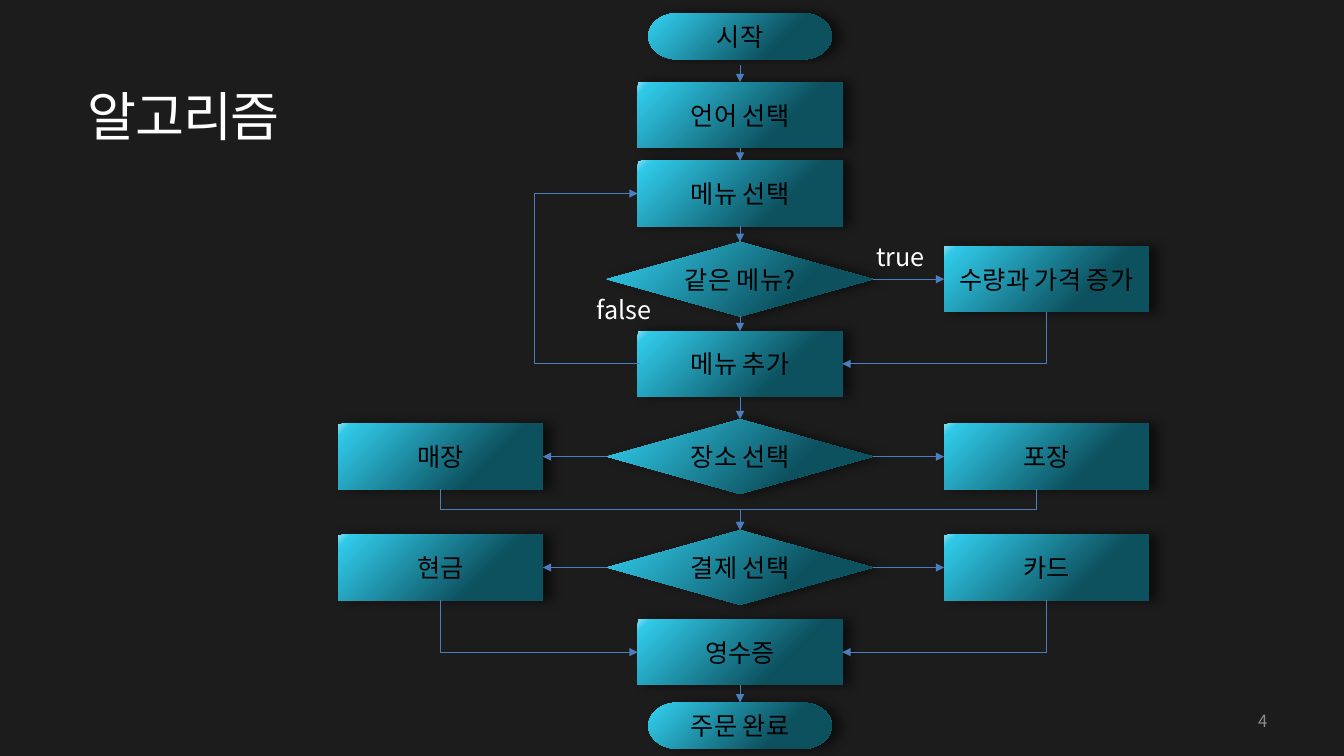
from dataclasses import dataclass

from lxml.etree import SubElement
from pptx import Presentation
from pptx.dml.color import RGBColor
from pptx.enum.shapes import MSO_CONNECTOR as Connector, MSO_SHAPE as Shape
from pptx.enum.text import MSO_ANCHOR as Anchor, PP_ALIGN as Align
from pptx.oxml import parse_xml
from pptx.oxml.ns import nsdecls, qn
from pptx.util import Inches, Pt


@dataclass(frozen=True)
class Theme:
    font: str = "Noto Sans CJK KR"
    background: str = "1C1C1C"
    node_text: str = "000000"
    light_text: str = "FFFFFF"
    number_text: str = "8C8C8C"
    line: str = "4B7EBC"
    stops: tuple = ((1, "78DCF0"), (5, "30C9E8"), (70, "0D515F"))
    title_size: int = 38
    body_size: int = 18
    number_size: int = 12
    line_width: float = 0.75


theme = Theme()

# Content: name -> text, kind, column, row
NODES = {
    "start": ("시작", "terminator", "middle", 0),
    "language": ("언어 선택", "process", "middle", 1),
    "menu": ("메뉴 선택", "process", "middle", 2),
    "same": ("같은 메뉴?", "decision", "middle", 3),
    "increase": ("수량과 가격 증가", "process", "right", 3),
    "add": ("메뉴 추가", "process", "middle", 4),
    "store": ("매장", "process", "left", 5),
    "place": ("장소 선택", "decision", "middle", 5),
    "takeout": ("포장", "process", "right", 5),
    "cash": ("현금", "process", "left", 6),
    "payment": ("결제 선택", "decision", "middle", 6),
    "card": ("카드", "process", "right", 6),
    "receipt": ("영수증", "process", "middle", 7),
    "done": ("주문 완료", "terminator", "middle", 8),
}
TOP, LEFT, BOTTOM, RIGHT = range(4)
STRAIGHT = [
    ("start", BOTTOM, "language", TOP), ("language", BOTTOM, "menu", TOP),
    ("menu", BOTTOM, "same", TOP), ("same", BOTTOM, "add", TOP),
    ("same", RIGHT, "increase", LEFT), ("add", BOTTOM, "place", TOP),
    ("place", LEFT, "store", RIGHT), ("place", RIGHT, "takeout", LEFT),
    ("payment", LEFT, "cash", RIGHT), ("payment", RIGHT, "card", LEFT),
    ("receipt", BOTTOM, "done", TOP),
]
# Bent arrows leaving downwards: from, shift of the start, to, side, preset
BENT = [
    ("increase", 0, "add", RIGHT, "bentConnector2"),
    ("store", 0, "payment", TOP, "bentConnector3"),
    ("takeout", -0.1, "payment", TOP, "bentConnector3"),
    ("cash", 0, "receipt", LEFT, "bentConnector2"),
    ("card", 0, "receipt", RIGHT, "bentConnector2"),
]
# Text, box, size, colour, alignment, anchor
LABELS = [
    ("알고리즘", (0.77, 0.43, 7.16, 1.43), theme.title_size, theme.light_text, Align.LEFT, Anchor.MIDDLE),
    ("true", (8.59, 2.34, 0.81, 0.47), theme.body_size, theme.light_text, Align.LEFT, Anchor.TOP),
    ("false", (5.82, 2.87, 1.06, 0.47), theme.body_size, theme.light_text, Align.LEFT, Anchor.TOP),
    ("4", (9.56, 6.95, 3.11, 0.4), theme.number_size, theme.number_text, Align.RIGHT, Anchor.MIDDLE),
]

# Grid: column and row centres, size of each kind
COLUMNS = {"left": 4.37, "middle": 7.34, "right": 10.38}
ROWS = [0.36, 1.14, 1.92, 2.77, 3.61, 4.53, 5.63, 6.47, 7.2]
KINDS = {
    "terminator": (Shape.FLOWCHART_TERMINATOR, 1.82, 0.46),
    "process": (Shape.RECTANGLE, 2.03, 0.65),
    "decision": (Shape.FLOWCHART_DECISION, 2.64, 0.74),
}
START_GAP = 0.06
LOOP_X = 5.31
LOOP_INSET = 0.02


def write(shape, text, size, colour, alignment, anchor):
    frame = shape.text_frame
    frame.word_wrap = True
    frame.vertical_anchor = anchor
    paragraph = frame.paragraphs[0]
    paragraph.text = text
    paragraph.alignment = alignment
    paragraph.font.size = Pt(size)
    paragraph.font.name = theme.font
    paragraph.font.color.rgb = RGBColor.from_string(colour)
    defaults = paragraph._p.pPr.find(qn("a:defRPr"))
    SubElement(defaults, qn("a:ea")).set("typeface", theme.font)
    return defaults


def add_node(slide, text, kind, column, row):
    preset, width, height = KINDS[kind]
    shape = slide.shapes.add_shape(
        preset, Inches(COLUMNS[column] - width / 2), Inches(ROWS[row] - height / 2),
        Inches(width), Inches(height))
    shape.line.fill.background()
    # Gradient and soft shadow
    stops = "".join(f'<a:gs pos="{share * 1000}"><a:srgbClr val="{colour}"/></a:gs>'
                    for share, colour in theme.stops)
    properties = shape._element.spPr
    properties.insert(2, parse_xml(
        f'<a:gradFill {nsdecls("a")} rotWithShape="1"><a:gsLst>{stops}</a:gsLst>'
        '<a:lin ang="2700000" scaled="0"/></a:gradFill>'))
    properties.append(parse_xml(
        f'<a:effectLst {nsdecls("a")}><a:outerShdw blurRad="{Pt(8)}" dist="{Pt(6)}" dir="0">'
        '<a:srgbClr val="000000"><a:alpha val="55000"/></a:srgbClr></a:outerShdw></a:effectLst>'))
    frame = shape.text_frame
    frame.margin_left = frame.margin_right = frame.margin_top = frame.margin_bottom = 0
    write(shape, text, theme.body_size, theme.node_text, Align.CENTER, Anchor.MIDDLE)
    return shape


def side_point(name, side):
    _, kind, column, row = NODES[name]
    _, width, height = KINDS[kind]
    dx, dy = {TOP: (0, -1), LEFT: (-1, 0), BOTTOM: (0, 1), RIGHT: (1, 0)}[side]
    return COLUMNS[column] + dx * width / 2, ROWS[row] + dy * height / 2


def add_arrow(slide, kind, start, end):
    arrow = slide.shapes.add_connector(kind, *(Inches(value) for value in (*start, *end)))
    arrow.line.color.rgb = RGBColor.from_string(theme.line)
    arrow.line.width = Pt(theme.line_width)
    SubElement(arrow.line._get_or_add_ln(), qn("a:tailEnd")).set("type", "triangle")
    SubElement(arrow._element.spPr, qn("a:effectLst"))
    return arrow


def add_bent(slide, start, end, preset, turn, flip=False, bend=None):
    """Elbow whose box is turned about its centre, so the path leaves start correctly."""
    width, height = abs(end[0] - start[0]), abs(end[1] - start[1])
    if turn != 180:
        width, height = height, width
    centre_x, centre_y = (start[0] + end[0]) / 2, (start[1] + end[1]) / 2
    left, top = centre_x - width / 2, centre_y - height / 2
    arrow = add_arrow(slide, Connector.ELBOW, (left, top), (left + width, top + height))
    frame = arrow._element.spPr.find(qn("a:xfrm"))
    frame.set("rot", str(turn * 60000))
    if flip:
        frame.set("flipH", "1")
    geometry = arrow._element.spPr.find(qn("a:prstGeom"))
    geometry.set("prst", preset)
    if bend is not None:
        guide = SubElement(geometry.find(qn("a:avLst")), qn("a:gd"))
        guide.set("name", "adj1")
        guide.set("fmla", f"val {round(bend * 100000)}")


def main():
    presentation = Presentation()
    presentation.slide_width, presentation.slide_height = Inches(13.33), Inches(7.5)
    slide = presentation.slides.add_slide(presentation.slide_layouts[6])
    slide.background.fill.solid()
    slide.background.fill.fore_color.rgb = RGBColor.from_string(theme.background)

    # Flowchart nodes
    shapes = {name: add_node(slide, *node) for name, node in NODES.items()}

    # Straight arrows; the first one starts a little below its node
    for source, source_side, target, target_side in STRAIGHT:
        x, y = side_point(source, source_side)
        gap = START_GAP if source == "start" else 0
        arrow = add_arrow(slide, Connector.STRAIGHT, (x, y + gap), side_point(target, target_side))
        if not gap:
            arrow.begin_connect(shapes[source], source_side)
        arrow.end_connect(shapes[target], target_side)

    # Bent arrows, then the loop back to the menu
    for source, shift, target, side, preset in BENT:
        x, y = side_point(source, BOTTOM)
        start, end = (x + shift, y), side_point(target, side)
        rightward = end[0] > start[0]
        add_bent(slide, start, end, preset, 270 if rightward else 90, rightward)
    x, y = side_point("add", LEFT)
    loop_start = x + LOOP_INSET
    add_bent(slide, (loop_start, y), side_point("menu", LEFT), "bentConnector3", 180,
             bend=(loop_start - LOOP_X) / LOOP_INSET)

    # Title, branch labels and slide number
    for text, box, size, colour, alignment, anchor in LABELS:
        label = slide.shapes.add_textbox(*(Inches(value) for value in box))
        defaults = write(label, text, size, colour, alignment, anchor)
        if size == theme.title_size:
            defaults.set("spc", "-90")

    presentation.save("out.pptx")


if __name__ == "__main__":
    main()
